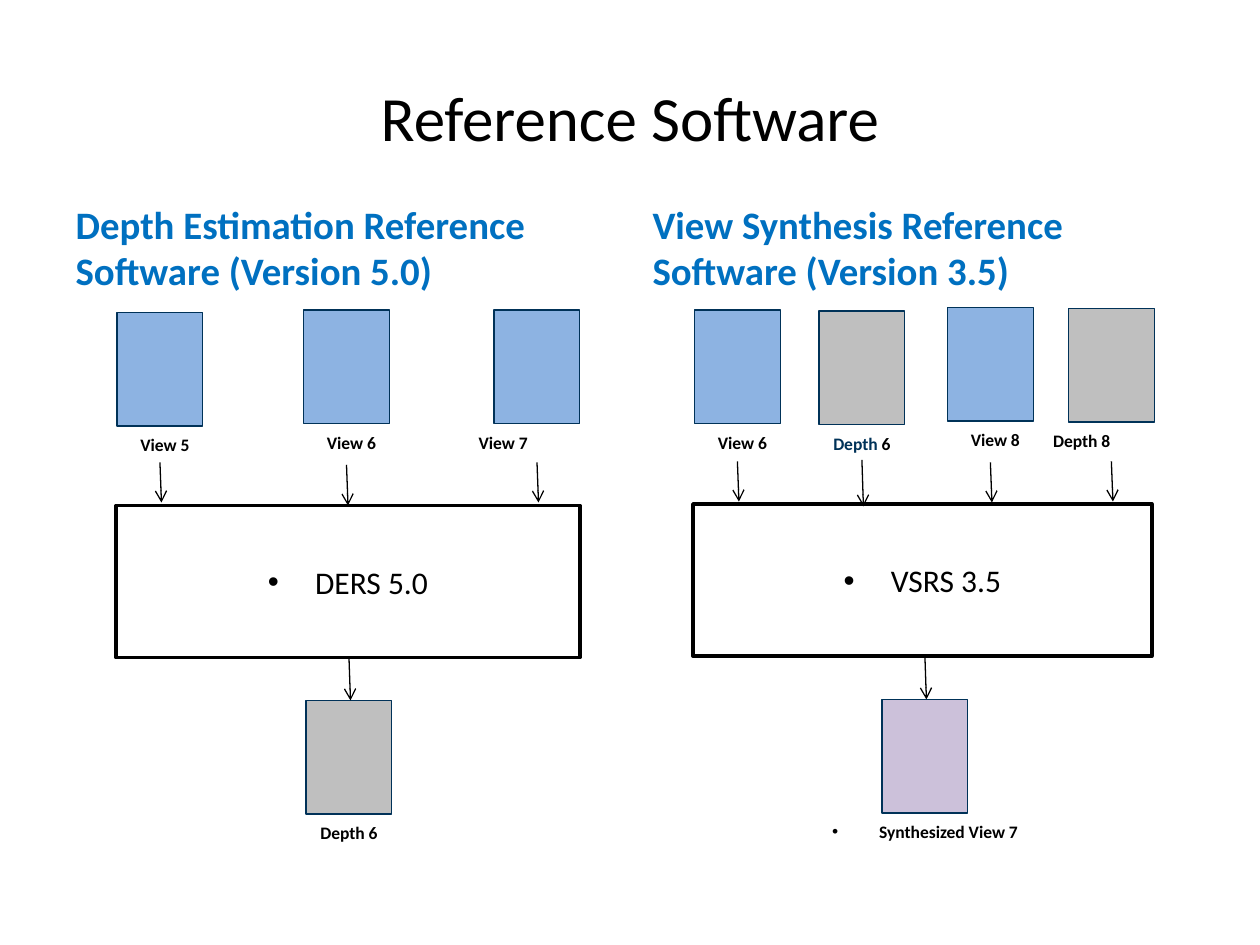
from dataclasses import dataclass

from lxml.etree import SubElement
from pptx import Presentation
from pptx.dml.color import RGBColor
from pptx.enum.shapes import MSO_CONNECTOR as Connector, MSO_SHAPE as Preset
from pptx.enum.text import MSO_ANCHOR as Anchor, MSO_AUTO_SIZE as AutoSize, PP_ALIGN as Align
from pptx.oxml.ns import qn
from pptx.slide import Slide
from pptx.util import Cm, Pt

COLORS = {
    "text": "000000",
    "heading": "0070C0",
    "outline": "003258",
    "box": "FFFFFF",
    "view": "8DB3E2",
    "depth": "BFBFBF",
    "synthesized": "CCC1DA",
}
FONT = "Calibri"
FRAME_WIDTH, FRAME_HEIGHT = 1.73, 2.29
LABEL_OFFSET, LABEL_HEIGHT = 2.33, 0.7
ARROW_LEAN = 0.03
BULLET_INDENT = 0.95


@dataclass
class Frame:
    kind: str
    left: float
    top: float
    label: str
    arrow_top: float
    arrow_bottom: float
    label_width: float = 3.54
    label_shift: float = 0
    left_aligned: bool = False
    accent: str = ""
    bulleted: bool = False


@dataclass
class Process:
    heading: str
    heading_left: float
    name: str
    left: float
    top: float
    width: float
    frames: list[Frame]


PROCESSES = [
    Process("Depth Estimation Reference Software (Version 5.0)", 1.27,
            "DERS 5.0", 2.34, 10.19, 9.35, [
                Frame("view", 2.36, 6.3, "View 5", 9.32, 10.13, label_shift=0.2),
                Frame("view", 6.12, 6.25, "View 6", 9.37, 10.19, label_shift=0.2),
                Frame("view", 9.96, 6.25, "View 7", 9.32, 10.13, 2.9, left_aligned=True),
                Frame("depth", 6.17, 14.12, "Depth 6", 13.26, 14.12, 4.32),
            ]),
    Process("View Synthesis Reference Software (Version 3.5)", 12.9,
            "VSRS 3.5", 13.97, 10.16, 9.25, [
                Frame("view", 14, 6.25, "View 6", 9.3, 10.11, label_shift=0.2),
                Frame("depth", 16.51, 6.27, "6", 9.27, 10.21, accent="Depth "),
                Frame("view", 19.1, 6.2, "View 8", 9.32, 10.13, label_shift=0.2),
                Frame("depth", 21.54, 6.22, "Depth 8", 9.3, 10.11, 2.9, left_aligned=True),
                Frame("synthesized", 17.78, 14.1, "Synthesized View 7", 13.23, 14.1, 4.3,
                      bulleted=True),
            ]),
]


def color(name: str) -> RGBColor:
    return RGBColor.from_string(COLORS[name])


def format_run(run, size: float, color_name: str, bold: bool = False) -> None:
    run.font.name = FONT
    run.font.size = Pt(size)
    run.font.bold = bold
    run.font.color.rgb = color(color_name)


def add_bullet(paragraph) -> None:
    properties = paragraph._p.get_or_add_pPr()
    properties.set("marL", str(Cm(BULLET_INDENT)))
    properties.set("indent", str(-Cm(BULLET_INDENT)))
    SubElement(properties, qn("a:buFont"), typeface="Arial")
    SubElement(properties, qn("a:buChar"), char="•")


def fill_placeholder(shape, box: tuple, text: str, size: float, color_name: str,
                     bold: bool, align, anchor) -> None:
    shape.left, shape.top, shape.width, shape.height = map(Cm, box)
    frame = shape.text_frame
    frame.text = text
    frame.auto_size = AutoSize.NONE
    frame.vertical_anchor = anchor
    paragraph = frame.paragraphs[0]
    paragraph.alignment = align
    format_run(paragraph.runs[0], size, color_name, bold)


def add_rectangle(slide: Slide, box: tuple, fill: str, line: str, weight: float):
    shape = slide.shapes.add_shape(Preset.RECTANGLE, *map(Cm, box))
    shape.shadow.inherit = False
    shape.fill.solid()
    shape.fill.fore_color.rgb = color(fill)
    shape.line.color.rgb = color(line)
    shape.line.width = Pt(weight)
    return shape


def add_arrow(slide: Slide, x: float, top: float, bottom: float) -> None:
    arrow = slide.shapes.add_connector(
        Connector.STRAIGHT, Cm(x), Cm(top), Cm(x + ARROW_LEAN), Cm(bottom))
    arrow.line.color.rgb = color("text")
    arrow.line.width = Pt(0.75)
    SubElement(arrow.line._get_or_add_ln(), qn("a:tailEnd"), type="arrow")
    SubElement(arrow._element.spPr, qn("a:effectLst"))


def add_label(slide: Slide, frame: Frame) -> None:
    left = frame.left + (FRAME_WIDTH - frame.label_width) / 2
    if frame.left_aligned:
        left = frame.left - 0.56
    box = (left, frame.top + LABEL_OFFSET, frame.label_width, LABEL_HEIGHT)
    text_frame = slide.shapes.add_textbox(*map(Cm, box)).text_frame
    text_frame.word_wrap = True
    text_frame.auto_size = AutoSize.SHAPE_TO_FIT_TEXT
    text_frame.margin_left = Cm(0.25 + frame.label_shift)
    paragraph = text_frame.paragraphs[0]
    paragraph.alignment = Align.LEFT if frame.left_aligned else Align.CENTER
    paragraph.space_after = Pt(10)
    for text, color_name in ((frame.accent, "outline"), (frame.label, "text")):
        if text:
            run = paragraph.add_run()
            run.text = text
            format_run(run, 10, color_name, True)
    if frame.bulleted:
        add_bullet(paragraph)


def add_process(slide: Slide, process: Process) -> None:
    box = (process.left, process.top, process.width, 3.07)
    shape = add_rectangle(slide, box, "box", "text", 2)
    shape.text_frame.text = process.name
    shape.text_frame.vertical_anchor = Anchor.MIDDLE
    paragraph = shape.text_frame.paragraphs[0]
    paragraph.alignment = Align.CENTER
    format_run(paragraph.runs[0], 18, "text")
    add_bullet(paragraph)
    for frame in process.frames:
        add_rectangle(slide, (frame.left, frame.top, FRAME_WIDTH, FRAME_HEIGHT),
                      frame.kind, "outline", 0.75)
        add_label(slide, frame)
        add_arrow(slide, frame.left + FRAME_WIDTH / 2, frame.arrow_top, frame.arrow_bottom)


def main() -> None:
    presentation = Presentation()
    presentation.slide_width, presentation.slide_height = Cm(25.4), Cm(19.05)
    slide = presentation.slides.add_slide(presentation.slide_layouts[4])
    title, left_heading, left_body, right_heading, right_body = list(slide.placeholders)[:5]
    for empty in (left_body, right_body):
        empty._element.getparent().remove(empty._element)
    fill_placeholder(title, (1.27, 0.76, 22.86, 3.18), "Reference Software",
                     36, "text", False, Align.CENTER, Anchor.MIDDLE)
    for heading, process in zip((left_heading, right_heading), PROCESSES):
        fill_placeholder(heading, (process.heading_left, 4.27, 11.23, 1.78), process.heading,
                         22.2, "heading", True, Align.LEFT, Anchor.BOTTOM)
        add_process(slide, process)
    presentation.save("out.pptx")


main()
